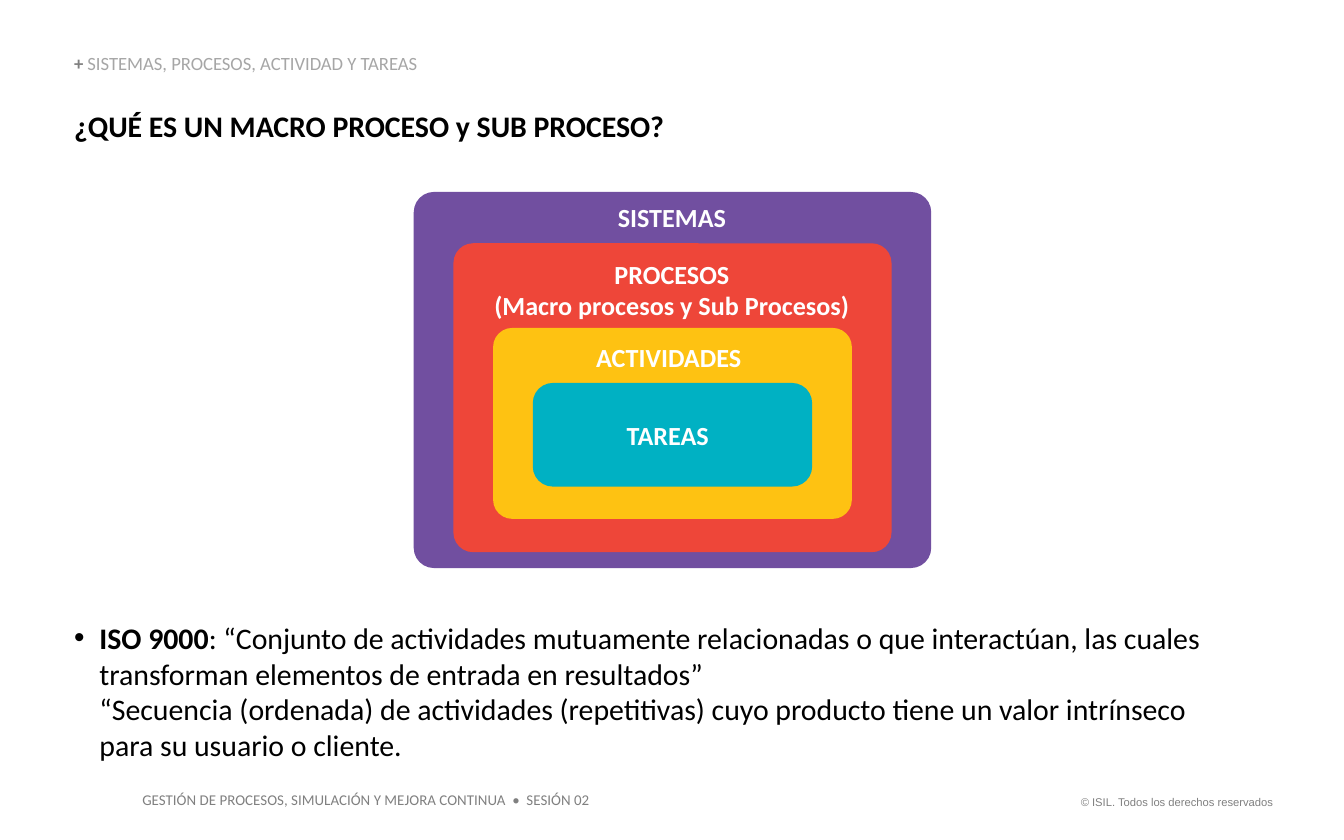
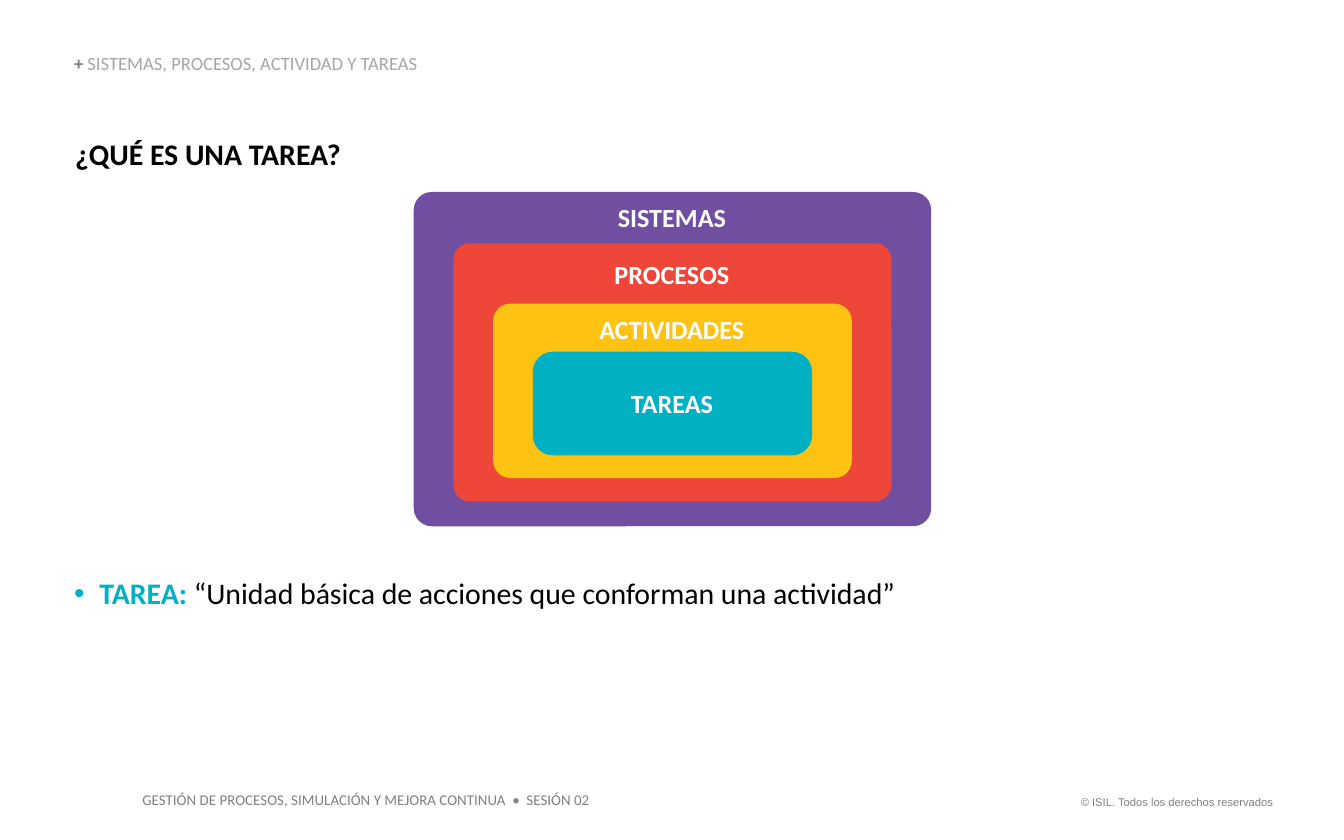
from pptx import Presentation
from pptx.dml.color import RGBColor
from pptx.enum.shapes import MSO_SHAPE
from pptx.enum.text import MSO_ANCHOR, MSO_AUTO_SIZE, PP_ALIGN
from pptx.oxml import parse_xml
from pptx.oxml.ns import nsdecls
from pptx.util import Cm, Pt

BLACK = RGBColor(0x00, 0x00, 0x00)
WHITE = RGBColor(0xFF, 0xFF, 0xFF)
GRAY = RGBColor(0x80, 0x80, 0x80)
LIGHT_GRAY = RGBColor(0xA6, 0xA6, 0xA6)
PURPLE = RGBColor(0x71, 0x4F, 0xA0)
RED = RGBColor(0xEE, 0x46, 0x39)
YELLOW = RGBColor(0xFE, 0xC2, 0x12)
TEAL = RGBColor(0x00, 0xB1, 0xC3)

# Content: lengths in centimetres
SECTION = "SISTEMAS, PROCESOS, ACTIVIDAD Y TAREAS"
COURSE = "GESTIÓN DE PROCESOS, SIMULACIÓN Y MEJORA CONTINUA  •  SESIÓN 02"
COPYRIGHT = "© ISIL. Todos los derechos reservados"
LEVEL_STYLES = [(PURPLE, 0.054), (RED, 0.064), (YELLOW, 0.1), (TEAL, 0.194)]

# Levels: label, label centre, label width, label top, box top, box height
SLIDES = [
    {
        "title": "¿QUÉ ES UN MACRO PROCESO y SUB PROCESO?",
        "title_area": (1.4, 2.03, 11.33, 0.69),
        "levels": [
            ("SISTEMAS", 12.7, 2.06, 3.81, 3.63, 7.11),
            ("PROCESOS\n(Macro procesos y Sub Procesos)", 12.7, 6.76, 4.88, 4.6, 5.84),
            ("ACTIVIDADES", 12.64, 2.77, 6.45, 6.2, 3.61),
            ("TAREAS", 12.62, 1.57, 7.92, 7.24, 1.96),
        ],
        "term": "ISO 9000",
        "term_color": BLACK,
        "definition": [
            ": “Conjunto de actividades mutuamente relacionadas o que interactúan, "
            "las cuales transforman elementos de entrada en resultados”",
            "“Secuencia (ordenada) de actividades (repetitivas) cuyo producto "
            "tiene un valor intrínseco",
            "para su usuario o cliente.",
        ],
        "body_area": (1.4, 11.71, 22.45, 2.74),
    },
    {
        "title": "¿QUÉ ES UNA TAREA?",
        "title_area": (1.42, 2.57, 5.21, 0.69),
        "levels": [
            ("SISTEMAS", 12.7, 2.06, 3.81, 3.63, 6.32),
            ("PROCESOS", 12.7, 2.18, 4.88, 4.6, 4.88),
            ("ACTIVIDADES", 12.7, 2.77, 5.92, 5.74, 3.3),
            ("TAREAS", 12.7, 1.57, 7.32, 6.65, 1.96),
        ],
        "term": "TAREA: ",
        "term_color": TEAL,
        "definition": ["“Unidad básica de acciones que conforman una actividad”"],
        "body_area": (1.4, 10.87, 22.45, 0.69),
    },
]

# Nested boxes: each level is inset equally on both sides
OUTER_LEFT, OUTER_WIDTH, INSET = 7.82, 9.78, 0.75
LABEL_LINE = 0.6


def style_font(font, size, color, bold=False, name="Calibri"):
    font.name = name
    font.size = Pt(size)
    font.bold = bold
    font.color.rgb = color


def place(shape, area):
    shape.left, shape.top, shape.width, shape.height = map(Cm, area)


def prepare_frame(shape, wrap=True, anchor=MSO_ANCHOR.TOP):
    frame = shape.text_frame
    frame.margin_left = frame.margin_right = 0
    frame.margin_top = frame.margin_bottom = 0
    frame.auto_size = MSO_AUTO_SIZE.NONE
    frame.word_wrap = wrap
    frame.vertical_anchor = anchor
    return frame


def add_run(paragraph, text, size, color, bold=False):
    run = paragraph.add_run()
    run.text = text
    style_font(run.font, size, color, bold)


def move_footer_to_layout(slide, layout, text, area, size, font_name, alignment):
    box = slide.shapes.add_textbox(*map(Cm, area))
    box.text_frame.word_wrap = True
    box.text_frame.text = text
    paragraph = box.text_frame.paragraphs[0]
    paragraph.alignment = alignment
    style_font(paragraph.font, size, GRAY, name=font_name)
    layout.shapes.element.append(box.element)


def add_section_line(slide):
    box = slide.shapes.add_textbox(Cm(1.4), Cm(1.04), Cm(7.85), Cm(0.38))
    paragraph = prepare_frame(box, anchor=MSO_ANCHOR.BOTTOM).paragraphs[0]
    paragraph.line_spacing = 0.9
    add_run(paragraph, "+ ", 10, GRAY, bold=True)
    add_run(paragraph, SECTION, 10, LIGHT_GRAY)


def fill_title(slide, content):
    title = slide.shapes.title
    place(title, content["title_area"])
    frame = prepare_frame(title, wrap=False)
    frame.text = content["title"]
    paragraph = frame.paragraphs[0]
    paragraph.alignment = PP_ALIGN.LEFT
    style_font(paragraph.font, 16, BLACK, bold=True)


def fill_definition(slide, content):
    body = slide.placeholders[1]
    place(body, content["body_area"])
    paragraph = prepare_frame(body).paragraphs[0]
    properties = paragraph._p.get_or_add_pPr()
    properties.set("marL", str(Cm(0.48)))
    properties.set("indent", str(-Cm(0.48)))
    properties.append(parse_xml(f'<a:buFont {nsdecls("a")} typeface="Arial"/>'))
    properties.append(parse_xml(f'<a:buChar {nsdecls("a")} char="•"/>'))
    paragraph.space_before = Pt(0)
    add_run(paragraph, content["term"], 16, content["term_color"], bold=True)
    for number, line in enumerate(content["definition"]):
        if number:
            paragraph.add_line_break()
        add_run(paragraph, line, 16, BLACK)


def add_nested_levels(slide, levels):
    # Boxes, from the outermost inwards
    for number, (level, (color, corner)) in enumerate(zip(levels, LEVEL_STYLES)):
        top, height = level[4:]
        box = slide.shapes.add_shape(
            MSO_SHAPE.ROUNDED_RECTANGLE,
            Cm(OUTER_LEFT + number * INSET), Cm(top),
            Cm(OUTER_WIDTH - 2 * number * INSET), Cm(height))
        box.adjustments[0] = corner
        box.shadow.inherit = False
        box.fill.solid()
        box.fill.fore_color.rgb = color
        box.line.fill.background()

    # Labels
    for text, center, width, top, *_ in levels:
        height = LABEL_LINE * len(text.split("\n"))
        label = slide.shapes.add_textbox(
            Cm(center - width / 2), Cm(top), Cm(width), Cm(height))
        frame = prepare_frame(label, wrap=False)
        frame.text = text
        for paragraph in frame.paragraphs:
            paragraph.alignment = PP_ALIGN.CENTER
            style_font(paragraph.font, 14, WHITE, bold=True)


def main():
    presentation = Presentation()
    presentation.slide_width = Cm(25.4)
    presentation.slide_height = Cm(15.88)
    layout = presentation.slide_layouts[1]

    for content in SLIDES:
        slide = presentation.slides.add_slide(layout)
        fill_definition(slide, content)
        add_section_line(slide)
        fill_title(slide, content)
        add_nested_levels(slide, content["levels"])

    # Footers shared through the layout
    move_footer_to_layout(slide, layout, COPYRIGHT, (20.02, 14.91, 4.29, 0.51),
                          6, "Arial", PP_ALIGN.RIGHT)
    move_footer_to_layout(slide, layout, COURSE, (2.44, 14.83, 8.97, 0.61),
                          8, "Calibri", PP_ALIGN.LEFT)

    presentation.save("out.pptx")


if __name__ == "__main__":
    main()
